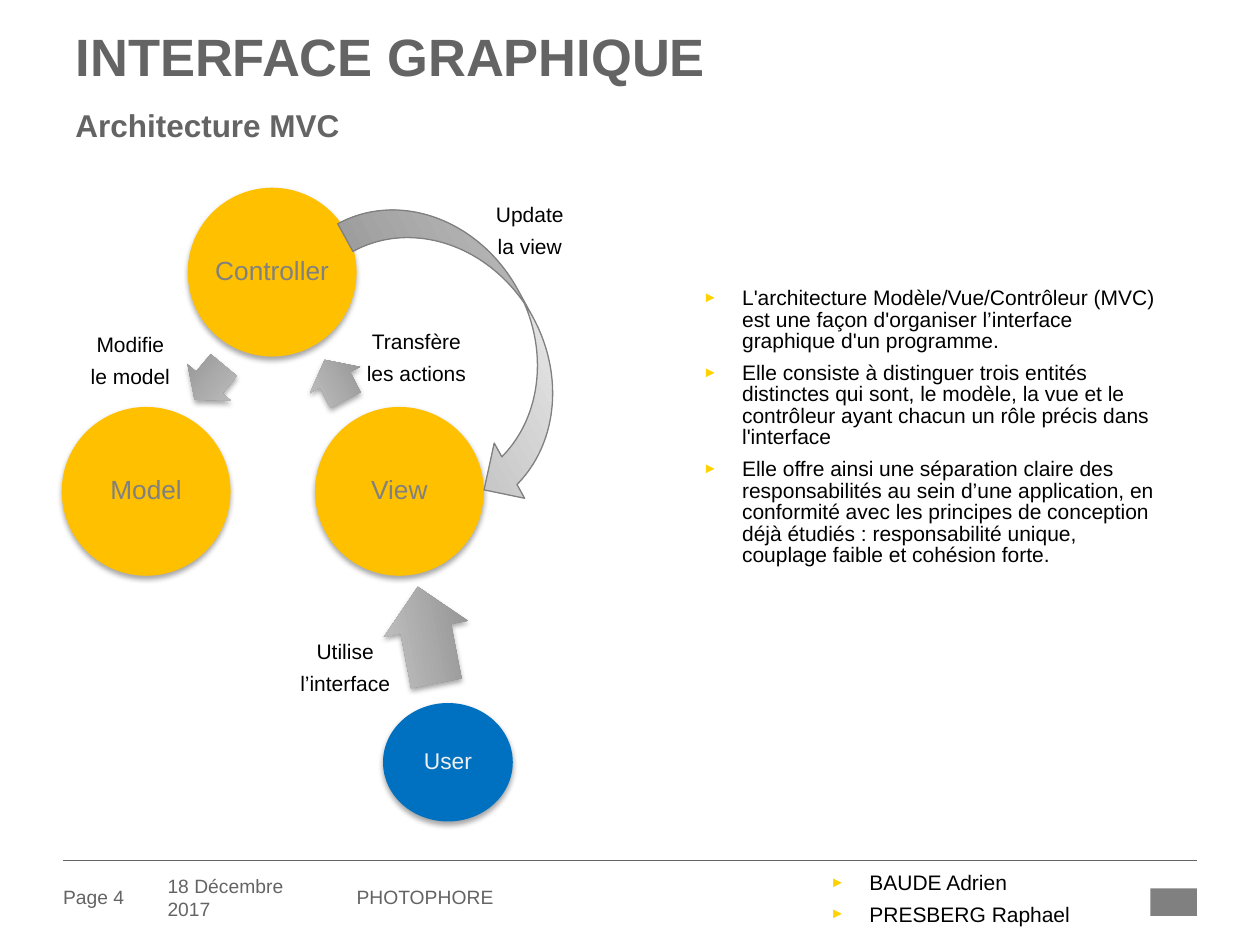
from lxml import etree
from pptx import Presentation
from pptx.dml.color import RGBColor
from pptx.enum.shapes import MSO_CONNECTOR, MSO_SHAPE
from pptx.enum.text import MSO_ANCHOR, MSO_AUTO_SIZE, PP_ALIGN
from pptx.oxml import parse_xml
from pptx.oxml.ns import nsdecls, qn
from pptx.util import Inches, Pt

GREY, BLACK, AMBER = "646464", "000000", "FFC000"

HEADINGS = [  # text, box, size
    ("INTERFACE GRAPHIQUE", (0.5, 0.22, 9, 0.88), 30),
    ("Architecture MVC", (0.5, 0.84, 9, 0.39), 18),
]
FOOTER = [
    ("Page 4", (0.5, 7.01, 0.79, 0.22)),
    ("18 Décembre 2017", (1.33, 7.01, 1.3, 0.22)),
    ("PHOTOPHORE", (2.83, 7.01, 3.76, 0.22)),
]
ACTORS = [  # text, box, fill, text colour, size
    ("User", (3.04, 5.58, 1.03, 0.94), "0070C0", "F0F0F0", 13),
    ("Controller", (1.49, 1.49, 1.34, 1.34), AMBER, "808080", 15),
    ("View", (2.5, 3.23, 1.34, 1.34), AMBER, "808080", 15),
    ("Model", (0.49, 3.23, 1.34, 1.34), AMBER, "808080", 15),
]
STRAIGHT_ARROWS = [  # box, rotation
    ((3, 4.7, 0.78, 0.68), 259.1),
    ((2.48, 2.79, 0.36, 0.45), 242.5),
    ((1.48, 2.81, 0.36, 0.45), 129.9),
]
UPDATE_ARROW = ((2.43, 2.2, 2.66, 1), 61.2)
ARROW_LABELS = [  # lines, box, wrap
    (["Utilise", "l’interface"], (2.27, 5.06, 0.94, 0.47), True),
    (["Transfère", "les actions"], (2.8, 2.6, 1.01, 0.47), True),
    (["Modifie", "le model"], (0.72, 2.62, 0.63, 0.47), False),
    (["Update", "la view"], (3.91, 1.59, 0.59, 0.47), False),
]
AUTHORS = ["BAUDE Adrien", "PRESBERG Raphael"]
EXPLANATION = [
    "L'architecture Modèle/Vue/Contrôleur (MVC) est une façon d'organiser "
    "l’interface graphique d'un programme.",
    "Elle consiste à distinguer trois entités distinctes qui sont, le modèle, "
    "la vue et le contrôleur ayant chacun un rôle précis dans l'interface",
    "Elle offre ainsi une séparation claire des responsabilités au sein d’une "
    "application, en conformité avec les principes de conception déjà étudiés : "
    "responsabilité unique, couplage faible et cohésion forte.",
]


def rgb(colour):
    return RGBColor.from_string(colour)


def inches(box):
    return [Inches(length) for length in box]


def add_bullet(paragraph):
    pPr = paragraph._p.get_or_add_pPr()
    pPr.set("marL", str(Inches(0.31)))
    pPr.set("indent", str(-Inches(0.31)))
    colour = etree.SubElement(pPr, qn("a:buClr"))
    etree.SubElement(colour, qn("a:srgbClr"), val="FFD200")
    etree.SubElement(pPr, qn("a:buSzPct"), val="70000")
    etree.SubElement(pPr, qn("a:buFont"), typeface="Arial")
    etree.SubElement(pPr, qn("a:buChar"), char="►")


def write(shape, lines, size=12, colour=BLACK, bold=False, align=PP_ALIGN.LEFT,
          anchor=MSO_ANCHOR.TOP, insets=(0, 0.04, 0, 0), wrap=True,
          line_spacing=0.85, after=0, bullets=False):
    frame = shape.text_frame
    frame.auto_size = MSO_AUTO_SIZE.NONE
    frame.word_wrap = wrap
    frame.vertical_anchor = anchor
    (frame.margin_left, frame.margin_top,
     frame.margin_right, frame.margin_bottom) = inches(insets)
    for index, line in enumerate(lines):
        paragraph = frame.add_paragraph() if index else frame.paragraphs[0]
        if bullets:
            add_bullet(paragraph)
        paragraph.alignment = align
        paragraph.line_spacing = line_spacing
        paragraph.space_after = Pt(after)
        run = paragraph.add_run()
        run.text = line
        run.font.name = "Arial"
        run.font.size = Pt(size)
        run.font.bold = bold
        run.font.color.rgb = rgb(colour)


def add_text(slide, box, lines, **text_format):
    write(slide.shapes.add_textbox(*inches(box)), lines, **text_format)


def add_shape(slide, kind, box, fill=None, shadow=True):
    shape = slide.shapes.add_shape(kind, *inches(box))
    shape.line.fill.background()
    shape.shadow.inherit = False
    if fill:
        shape.fill.solid()
        shape.fill.fore_color.rgb = rgb(fill)
    if shadow:
        shape._element.spPr.find(qn("a:effectLst")).append(parse_xml(
            f'<a:outerShdw {nsdecls("a")} blurRad="{Pt(3.1)}" dist="{Pt(1.8)}" '
            'dir="5400000" rotWithShape="0"><a:srgbClr val="000000">'
            '<a:alpha val="35000"/></a:srgbClr></a:outerShdw>'))
    return shape


def add_arrow(slide, kind, box, rotation, start_colour, shadow=True):
    arrow = add_shape(slide, kind, box, shadow=shadow)
    arrow.rotation = rotation
    stops = "".join(
        f'<a:gs pos="{position}000"><a:srgbClr val="{colour}"/></a:gs>'
        for position, colour in [(0, start_colour), (80, "BABABA"), (100, "BBBBBB")])
    arrow._element.spPr.find(qn("a:prstGeom")).addnext(parse_xml(
        f'<a:gradFill {nsdecls("a")} rotWithShape="1"><a:gsLst>{stops}</a:gsLst>'
        '<a:lin ang="16200000" scaled="0"/></a:gradFill>'))
    return arrow


def add_footer(slide):
    rule = slide.shapes.add_connector(
        MSO_CONNECTOR.STRAIGHT, *inches((0.5, 6.83, 9.5, 6.83)))
    rule.line.color.rgb = rgb(GREY)
    rule.line.width = Pt(0.25)
    etree.SubElement(rule._element.spPr, qn("a:effectLst"))
    for text, box in FOOTER:
        add_text(slide, box, [text], size=11, colour=GREY, line_spacing=1,
                 anchor=MSO_ANCHOR.MIDDLE, insets=(0, 0, 0, 0))
    add_text(slide, (6.59, 6.89, 1.92, 0.47), AUTHORS, wrap=False, after=6, bullets=True)
    add_shape(slide, MSO_SHAPE.RECTANGLE, (9.13, 7.05, 0.37, 0.22), "808080", shadow=False)


def add_headings(slide):
    title = slide.shapes.title
    subtitle = slide.shapes.add_textbox(0, 0, 0, 0)
    for shape, (text, box, size) in zip((title, subtitle), HEADINGS):
        shape.left, shape.top, shape.width, shape.height = inches(box)
        write(shape, [text], size=size, colour=GREY, bold=True,
              insets=(0.1, 0.05, 0.1, 0.05))


def add_diagram(slide):
    for text, box, fill, colour, size in ACTORS:
        circle = add_shape(slide, MSO_SHAPE.OVAL, box, fill)
        write(circle, [text], size=size, colour=colour, align=PP_ALIGN.CENTER,
              anchor=MSO_ANCHOR.MIDDLE, insets=(0.02,) * 4, wrap=False, line_spacing=0.9)
    for box, rotation in STRAIGHT_ARROWS:
        arrow = add_arrow(slide, MSO_SHAPE.RIGHT_ARROW, box, rotation, "8F8F8F")
        arrow.adjustments[0], arrow.adjustments[1] = 0.6, 0.5
    update = add_arrow(slide, MSO_SHAPE.CURVED_UP_ARROW, *UPDATE_ARROW, "FFFFFF", shadow=False)
    update._element.spPr.find(qn("a:xfrm")).set("flipV", "1")
    update.line.color.rgb = rgb("808080")
    update.line.width = Pt(0.75)
    for lines, box, wrap in ARROW_LABELS:
        add_text(slide, box, lines, align=PP_ALIGN.CENTER, wrap=wrap, after=6)


def main():
    deck = Presentation()
    deck.slide_width, deck.slide_height = Inches(10), Inches(7.5)
    slide = deck.slides.add_slide(deck.slide_layouts[5])
    add_footer(slide)
    add_headings(slide)
    add_diagram(slide)
    add_text(slide, (5.58, 2.25, 3.62, 2.52), EXPLANATION, after=6, bullets=True)
    deck.save("out.pptx")


if __name__ == "__main__":
    main()
